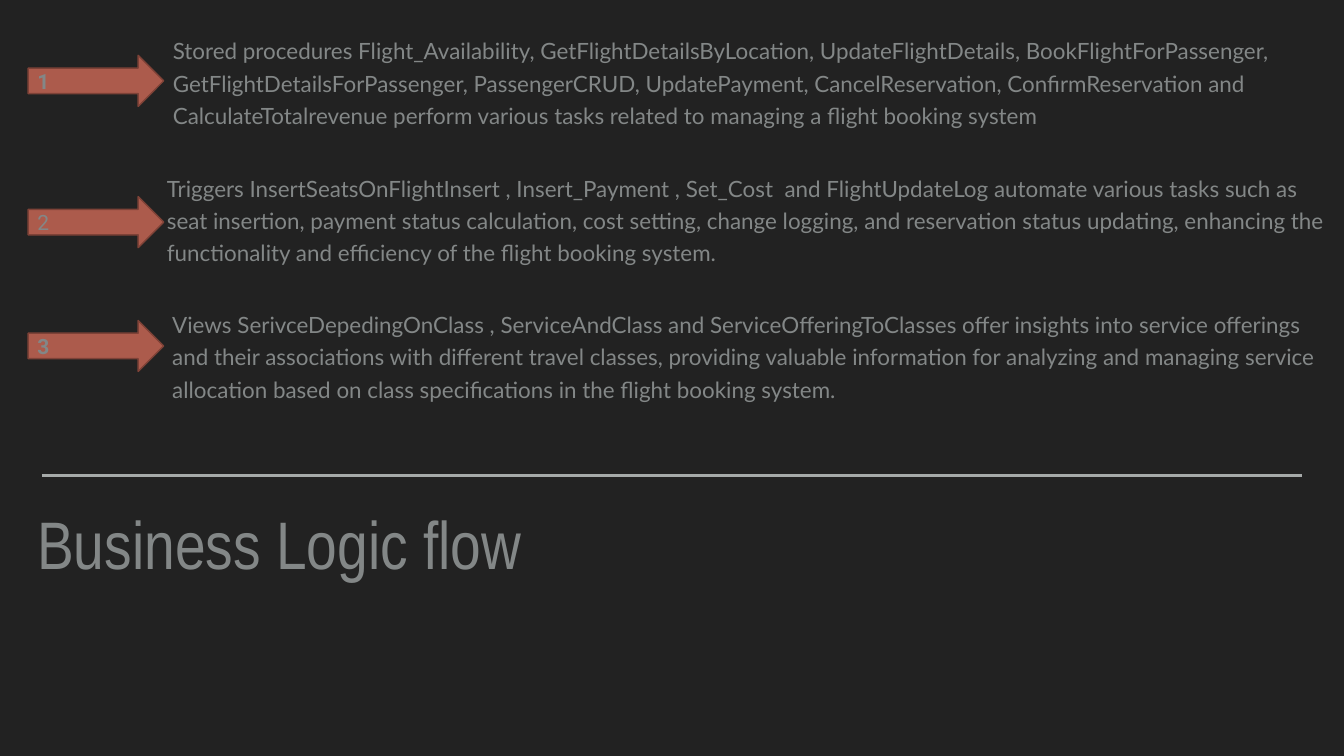
from dataclasses import dataclass

from lxml import etree
from pptx import Presentation
from pptx.dml.color import RGBColor
from pptx.enum.shapes import MSO_CONNECTOR, MSO_SHAPE
from pptx.enum.text import MSO_ANCHOR
from pptx.oxml.ns import qn
from pptx.shapes.shapetree import GroupShapes, SlideShapes
from pptx.util import Cm, Pt

RIGHT_ARROW = MSO_SHAPE.RIGHT_ARROW
STRAIGHT = MSO_CONNECTOR.STRAIGHT
MIDDLE = MSO_ANCHOR.MIDDLE


@dataclass(frozen=True)
class Theme:
    background: RGBColor = RGBColor(0x22, 0x22, 0x22)
    text: RGBColor = RGBColor(0x83, 0x87, 0x87)
    rule: RGBColor = RGBColor(0xA6, 0xAA, 0xA9)
    arrow: RGBColor = RGBColor(0xAC, 0x5B, 0x4C)
    arrow_edge: RGBColor = RGBColor(0x7E, 0x42, 0x37)
    title_font: str = "Arial Narrow"
    body_font: str = "Lato"
    number_font: str = "Roboto"
    title_size: int = 96
    body_size: int = 32
    number_size: int = 30


@dataclass(frozen=True)
class Box:
    left: float
    top: float
    width: float
    height: float


@dataclass(frozen=True)
class Step:
    number: str
    bold: bool
    arrow_top: float
    text_left: float
    text_top: float
    text: str


THEME = Theme()
ARROW_LEFT, ARROW_WIDTH, ARROW_HEIGHT = 1.42, 6.83, 2.57
NUMBER_LEFT, NUMBER_WIDTH, NUMBER_HEIGHT = 1.73, 5.61, 1.55
TEXT_WIDTH, TEXT_HEIGHT = 59.16, 4.72

STEPS = [
    Step("1", True, 2.79, 8.56, 1.7,
         "Stored procedures Flight_Availability, GetFlightDetailsByLocation, "
         "UpdateFlightDetails, BookFlightForPassenger, GetFlightDetailsForPassenger, "
         "PassengerCRUD, UpdatePayment, CancelReservation, ConfirmReservation and  "
         "CalculateTotalrevenue perform various tasks related to managing a flight "
         "booking system"),
    Step("2", False, 9.91, 8.26, 8.61,
         "Triggers InsertSeatsOnFlightInsert , Insert_Payment , Set_Cost  and "
         "FlightUpdateLog automate various tasks such as seat insertion, payment status "
         "calculation, cost setting, change logging, and reservation status updating, "
         "enhancing the functionality and efficiency of the flight booking system."),
    Step("3", True, 16.15, 8.53, 15.49,
         "Views SerivceDepedingOnClass , ServiceAndClass and ServiceOfferingToClasses "
         "offer insights into service offerings and their associations with different "
         "travel classes, providing valuable information for analyzing and managing "
         "service allocation based on class specifications in the flight booking system."),
]


def add_text(shapes: SlideShapes | GroupShapes, area: Box, text: str, *, font: str,
             size: int, bold: bool = False, line_spacing: float = 1.0) -> None:
    box = shapes.add_textbox(Cm(area.left), Cm(area.top), Cm(area.width), Cm(area.height))
    frame = box.text_frame
    frame.word_wrap = True
    frame.vertical_anchor = MIDDLE
    frame.margin_left = frame.margin_right = Cm(0.15)
    frame.margin_top = frame.margin_bottom = Cm(0.15)
    para = frame.paragraphs[0]
    para.line_spacing = line_spacing
    span = para.add_run()
    span.text = text
    span.font.name = font
    span.font.size = Pt(size)
    span.font.bold = bold
    span.font.color.rgb = THEME.text


def add_rule(shapes: SlideShapes, left: float, right: float, height: float) -> None:
    rule = shapes.add_connector(STRAIGHT, Cm(left), Cm(height), Cm(right), Cm(height))
    rule.line.color.rgb = THEME.rule
    rule.line.width = Pt(4)
    etree.SubElement(rule._element.spPr, qn("a:effectLst"))


def add_step(shapes: SlideShapes, step: Step) -> None:
    marker = shapes.add_group_shape().shapes
    arrow = marker.add_shape(RIGHT_ARROW, Cm(ARROW_LEFT), Cm(step.arrow_top),
                             Cm(ARROW_WIDTH), Cm(ARROW_HEIGHT))
    arrow.shadow.inherit = False
    arrow.fill.solid()
    arrow.fill.fore_color.rgb = THEME.arrow
    arrow.line.color.rgb = THEME.arrow_edge
    arrow.line.width = Pt(2)
    number_top = step.arrow_top + (ARROW_HEIGHT - NUMBER_HEIGHT) / 2
    add_text(marker, Box(NUMBER_LEFT, number_top, NUMBER_WIDTH, NUMBER_HEIGHT),
             step.number, font=THEME.number_font, size=THEME.number_size, bold=step.bold)
    add_text(shapes, Box(step.text_left, step.text_top, TEXT_WIDTH, TEXT_HEIGHT),
             step.text, font=THEME.body_font, size=THEME.body_size, line_spacing=1.2)


def main() -> None:
    deck = Presentation()
    deck.slide_width, deck.slide_height = Cm(67.74), Cm(38.1)
    page = deck.slides.add_slide(deck.slide_layouts[6])
    page.background.fill.solid()
    page.background.fill.fore_color.rgb = THEME.background
    add_rule(page.shapes, 2.11, 65.61, 23.98)
    for step in STEPS:
        add_step(page.shapes, step)
    add_text(page.shapes, Box(1.73, 25.15, 32.11, 4.39), "Business Logic flow",
             font=THEME.title_font, size=THEME.title_size)
    deck.save("out.pptx")


if __name__ == "__main__":
    main()
